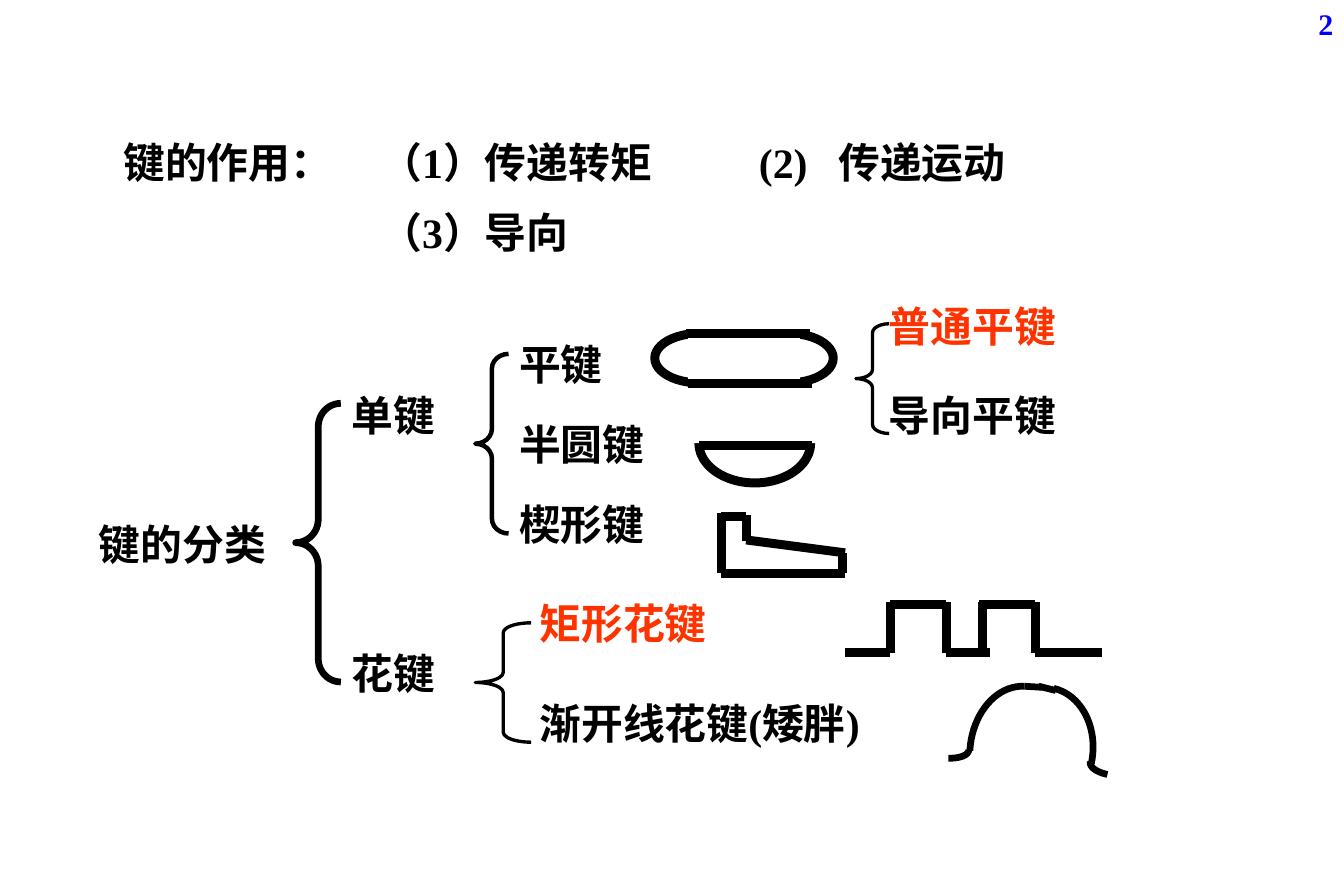
from lxml import etree
from pptx import Presentation
from pptx.dml.color import RGBColor
from pptx.enum.shapes import MSO_CONNECTOR, MSO_SHAPE as SHAPE
from pptx.enum.text import PP_ALIGN as ALIGN
from pptx.oxml.ns import qn
from pptx.util import Inches, Pt

BLACK, WHITE, RED, BLUE = "000000", "FFFFFF", "FF3300", "0000FF"
LABEL_HEIGHT = 0.57


def color(hex_code):
    """Turn a hex string into a colour."""
    return RGBColor.from_string(hex_code)


def add_label(slide, text, left, top, width, hex_code=BLACK, size=28, align=ALIGN.LEFT, tab=None):
    """Add one line of bold text, with an optional tab stop in inches."""
    label = slide.shapes.add_textbox(*map(Inches, (left, top, width, LABEL_HEIGHT)))
    label.text_frame.word_wrap = True
    paragraph = label.text_frame.paragraphs[0]
    paragraph.text = text
    paragraph.alignment = align
    if tab:
        stops = etree.SubElement(paragraph._p.get_or_add_pPr(), qn("a:tabLst"))
        etree.SubElement(stops, qn("a:tab"), pos=str(Inches(tab)), algn="l")
    for run in paragraph.runs:
        run.font.size = Pt(size)
        run.font.bold = True
        run.font.name = "Times New Roman"
        run.font.color.rgb = color(hex_code)
        etree.SubElement(run.font._element, qn("a:ea"), typeface="Noto Sans CJK SC")


def set_outline(part, weight):
    """Give a part a black outline, or none when the weight is zero."""
    if weight:
        part.line.color.rgb = color(BLACK)
        part.line.width = Pt(weight)
    else:
        part.line.fill.background()


def add_figure(slide, kind, left, top, width, height, weight=0, fill=WHITE):
    """Add a preset shape without shadow."""
    figure = slide.shapes.add_shape(kind, *map(Inches, (left, top, width, height)))
    figure.shadow.inherit = False
    if fill:
        figure.fill.solid()
        figure.fill.fore_color.rgb = color(fill)
    else:
        figure.fill.background()
    set_outline(figure, weight)
    return figure


def add_brace(slide, left, top, width, height, curl, weight):
    """Add an opening brace with the given curl."""
    brace = add_figure(slide, SHAPE.LEFT_BRACE, left, top, width, height, weight, None)
    brace.adjustments[0] = curl


def add_edges(slide, left, top, edges, weight=6):
    """Draw straight edges whose ends are offsets from left and top."""
    for x1, y1, x2, y2 in edges:
        ends = map(Inches, (left + x1, top + y1, left + x2, top + y2))
        edge = slide.shapes.add_connector(MSO_CONNECTOR.STRAIGHT, *ends)
        set_outline(edge, weight)
        etree.SubElement(edge._element.spPr, qn("a:effectLst"))


def add_curve(slide, left, top, controls, weight=4.5, steps=20):
    """Draw a cubic curve through four control points offset from left and top."""
    points = []
    for step in range(steps + 1):
        t = step / steps
        weights = ((1 - t) ** 3, 3 * t * (1 - t) ** 2, 3 * t * t * (1 - t), t ** 3)
        x, y = (sum(w * c[axis] for w, c in zip(weights, controls)) for axis in (0, 1))
        points.append((Inches(left + x), Inches(top + y)))
    builder = slide.shapes.build_freeform(*points[0])
    builder.add_line_segments(points[1:], close=False)
    curve = builder.convert_to_shape()
    curve.shadow.inherit = False
    curve.fill.background()
    set_outline(curve, weight)


def page_number(slide, left, top):
    """Place the page number."""
    add_label(slide, "2", left, top, 2.6, BLUE, 20, ALIGN.RIGHT)


def key_roles(slide, left, top):
    """List what keys do."""
    add_label(slide, "键的作用：", left, top, 2.81)
    add_label(slide, "（1）传递转矩", left + 2.39, top, 3.85)
    add_label(slide, "(2)\t传递运动", left + 5.91, top, 4.29, tab=0.74)
    add_label(slide, "（3）导向", left + 2.39, top + 0.65, 3.44)


def key_classes(slide, left, top):
    """Place the two main classes of keys."""
    add_label(slide, "键的分类", left, top + 1.2, 3.02)
    add_brace(slide, left + 1.93, top + 0.18, 0.42, 2.59, 0.518, 4.5)
    for name, offset in (("单键", 0), ("花键", 2.4)):
        add_label(slide, name, left + 2.35, top + offset, 1.56)


def single_keys(slide, left, top):
    """Place the kinds of single keys and of flat keys."""
    add_brace(slide, left, top + 0.19, 0.31, 1.67, 0.444, 3)
    for row, name in enumerate(("平键", "半圆键", "楔形键")):
        add_label(slide, name, left + 0.31, top + row * 0.745, 2)
    add_brace(slide, left + 3.54, top - 0.09, 0.31, 1.02, 0.272, 2.25)
    for name, offset, hex_code in (("普通平键", -0.35, RED), ("导向平键", 0.47, BLACK)):
        add_label(slide, name, left + 3.75, top + offset, 2.7, hex_code)


def spline_keys(slide, left, top):
    """Place the kinds of spline keys."""
    add_brace(slide, left, top + 0.28, 0.52, 1.11, 0.178, 2.25)
    add_label(slide, "矩形花键", left + 0.5, top, 3.23, RED)
    add_label(slide, "渐开线花键(矮胖)", left + 0.5, top + 0.93, 3.98)


def flat_key(slide, left, top):
    """Draw the flat key with rounded ends."""
    for offset in (0.83, 0):
        add_figure(slide, SHAPE.OVAL, left + offset, top, 0.83, 0.46, 6)
    add_figure(slide, SHAPE.RECTANGLE, left + 0.31, top - 0.09, 1.04, 0.65)
    add_edges(slide, left, top, [(0.29, 0, 1.44, 0), (0.31, 0.47, 1.46, 0.47)])


def half_round_key(slide, left, top):
    """Draw the half-round key."""
    add_figure(slide, SHAPE.OVAL, left, top, 1.04, 0.74, 6)
    add_figure(slide, SHAPE.RECTANGLE, left - 0.1, top - 0.09, 1.35, 0.46)
    add_edges(slide, left, top, [(0, 0.39, 1.05, 0.39)])


def wedge_key(slide, left, top):
    """Draw the wedge key with its head."""
    add_edges(slide, left, top, [
        (0, 0, 0, 0.56), (0, 0.56, 1.15, 0.56), (0, 0.03, 0.23, 0.03),
        (0.23, 0.02, 0.23, 0.26), (0.23, 0.25, 1.15, 0.37), (1.13, 0.37, 1.13, 0.56)])


def rectangular_spline(slide, left, top):
    """Draw two rectangular teeth."""
    roots = [(0, 0.42), (0.94, 1.35), (1.77, 2.39)]
    tips = [(0.42, 0.94), (1.25, 1.77)]
    sides = [0.42, 0.94, 1.28, 1.77]
    add_edges(slide, left, top, [(a, 0.47, b, 0.47) for a, b in roots]
              + [(a, 0.02, b, 0.02) for a, b in tips]
              + [(x, 0, x, 0.47) for x in sides])


def involute_spline(slide, left, top):
    """Draw one involute tooth."""
    flanks = [
        [(0.71, 0.01), (0.44, 0), (0.22, 0.27), (0.2, 0.61)],
        [(0, 0.68), (0.11, 0.68), (0.19, 0.65), (0.19, 0.6)],
        [(0.98, 0.03), (1.24, 0.09), (1.4, 0.4), (1.33, 0.73)],
        [(1.48, 0.83), (1.38, 0.81), (1.31, 0.76), (1.32, 0.71)]]
    for flank in flanks:
        add_curve(slide, left, top, flank)
    add_edges(slide, left, top, [(0.71, 0.01, 0.87, 0.02), (1, 0.05, 0.84, 0.01)], 4.5)


def main():
    """Build the slide and save it."""
    deck = Presentation()
    deck.slide_width, deck.slide_height = Inches(12.5), Inches(8.33)
    slide = deck.slides.add_slide(deck.slide_layouts[6])
    page_number(slide, 9.9, 0)
    key_roles(slide, 1.05, 1.22)
    key_classes(slide, 0.82, 3.57)
    single_keys(slide, 4.42, 3.1)
    spline_keys(slide, 4.42, 5.51)
    flat_key(slide, 6.09, 3.1)
    half_round_key(slide, 6.5, 3.75)
    wedge_key(slide, 6.71, 4.77)
    rectangular_spline(slide, 7.86, 5.6)
    involute_spline(slide, 8.82, 6.37)
    deck.save("out.pptx")


if __name__ == "__main__":
    main()
